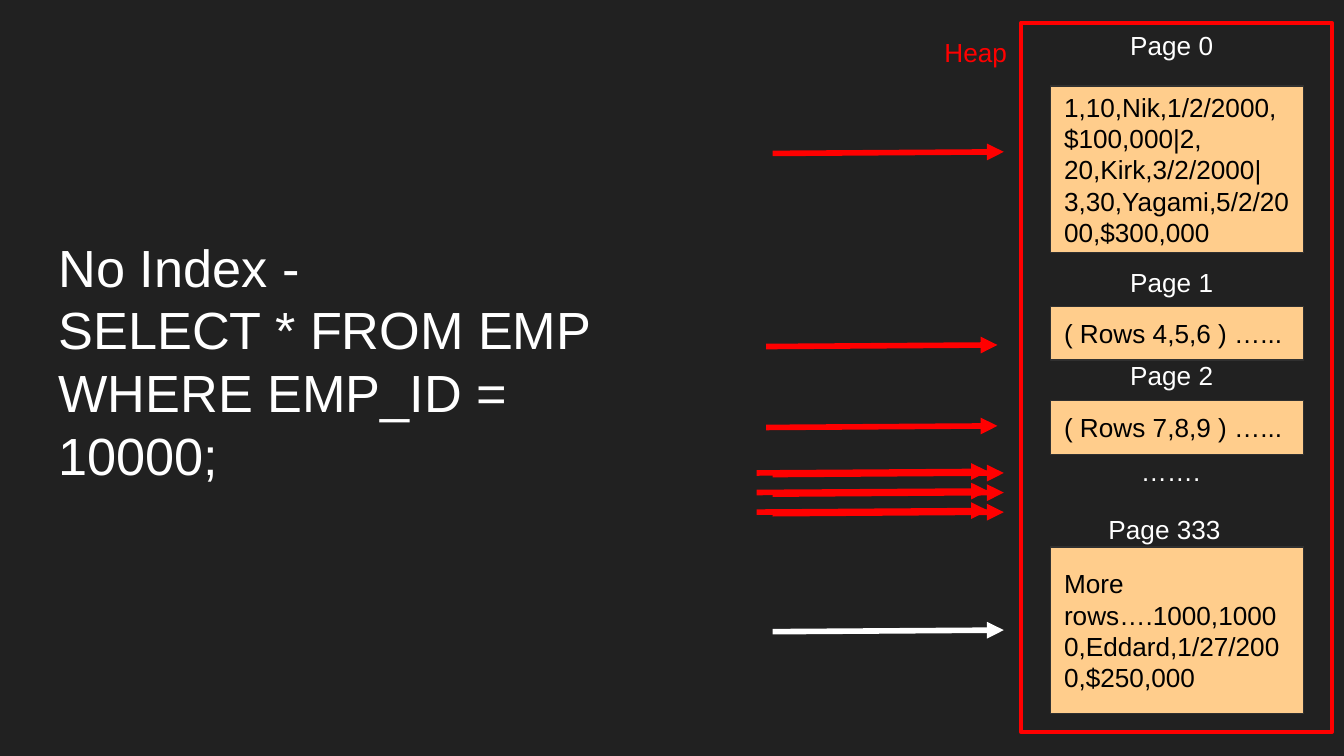
"""Build the slide on a heap scan of a table without an index."""
from pptx import Presentation
from pptx.dml.color import RGBColor
from pptx.enum.shapes import MSO_CONNECTOR, MSO_SHAPE
from pptx.enum.text import MSO_ANCHOR, PP_ALIGN
from pptx.oxml.ns import qn
from pptx.util import Cm, Pt
from lxml import etree

RECT = MSO_SHAPE.RECTANGLE
LINE = MSO_CONNECTOR.STRAIGHT
MIDDLE = MSO_ANCHOR.MIDDLE
TOP = MSO_ANCHOR.TOP
LEFT = PP_ALIGN.LEFT
RED, WHITE, BLACK = "FF0000", "FFFFFF", "000000"
DARK, PEACH, EDGE = "212121", "FFCD8C", "303030"


def color(code):
    return RGBColor.from_string(code)


def write(shape, text, tint, size=14, anchor=TOP):
    frame = shape.text_frame
    frame.text = text
    frame.word_wrap = True
    frame.vertical_anchor = anchor
    frame.margin_left = frame.margin_right = Cm(0.25)
    frame.margin_top = frame.margin_bottom = Cm(0.25)
    for para in frame.paragraphs:
        para.alignment = LEFT
        for run in para.runs:
            run.font.name = "Arial"
            run.font.size = Pt(size)
            run.font.color.rgb = color(tint)


deck = Presentation()
deck.slide_width, deck.slide_height = Cm(25.4), Cm(14.29)
slide = deck.slides.add_slide(deck.slide_layouts[6])
slide.background.fill.solid()
slide.background.fill.fore_color.rgb = color(DARK)

name = slide.shapes.add_textbox(Cm(17.6), Cm(0.43), Cm(2.16), Cm(1.12))
write(name, "Heap", RED)
title = slide.shapes.add_textbox(Cm(0.86), Cm(4.19), Cm(11.84), Cm(5.92))
write(title, "No Index -\nSELECT * FROM EMP WHERE EMP_ID = 10000;", WHITE, 28)

scans = [(14.6, 2.9, RED), (14.48, 6.55, RED), (14.48, 8.08, RED)]
for x, top in [(14.3, 8.94), (14.6, 8.97)]:
    scans += [(x, top + 0.37 * i, RED) for i in range(3)]
scans.append((14.6, 11.94, WHITE))
for x, y, tint in scans:
    arrow = slide.shapes.add_connector(
        LINE, Cm(x), Cm(y), Cm(x + 4.37), Cm(y - 0.03))
    arrow.line.color.rgb = color(tint)
    arrow.line.width = Pt(3)
    head = etree.SubElement(arrow.line._get_or_add_ln(), qn("a:tailEnd"))
    head.set("type", "triangle")
    etree.SubElement(arrow._element.spPr, qn("a:effectLst"))

heap = slide.shapes.add_group_shape().shapes
border = heap.add_shape(RECT, Cm(19.3), Cm(0.43), Cm(5.87), Cm(13.41))
border.shadow.inherit = False
border.fill.background()
border.line.color.rgb = color(RED)
border.line.width = Pt(2.25)

pages = [
    (1.63, 3.15, "1,10,Nik,1/2/2000,$100,000|2, 20,Kirk,3/2/2000|"
                 "3,30,Yagami,5/2/2000,$300,000"),
    (5.79, 1.02, "( Rows 4,5,6 ) …..."),
    (7.57, 1.02, "( Rows 7,8,9 ) …..."),
    (10.34, 3.15, "More rows….1000,10000,Eddard,1/27/2000,$250,000"),
]
for y, high, text in pages:
    page = heap.add_shape(RECT, Cm(19.86), Cm(y), Cm(4.78), Cm(high))
    page.shadow.inherit = False
    page.fill.solid()
    page.fill.fore_color.rgb = color(PEACH)
    page.line.color.rgb = color(EDGE)
    page.line.width = Pt(0.75)
    write(page, text, BLACK, anchor=MIDDLE)

labels = [
    (21.11, 0.3, 2.29, "Page 0"),
    (21.11, 4.78, 2.29, "Page 1"),
    (21.11, 6.55, 2.29, "Page 2"),
    (21.31, 8.36, 2.29, "……."),
    (20.7, 9.45, 2.92, "Page 333"),
]
for x, y, wide, text in labels:
    label = heap.add_textbox(Cm(x), Cm(y), Cm(wide), Cm(1.12))
    write(label, text, WHITE)

deck.save("out.pptx")
